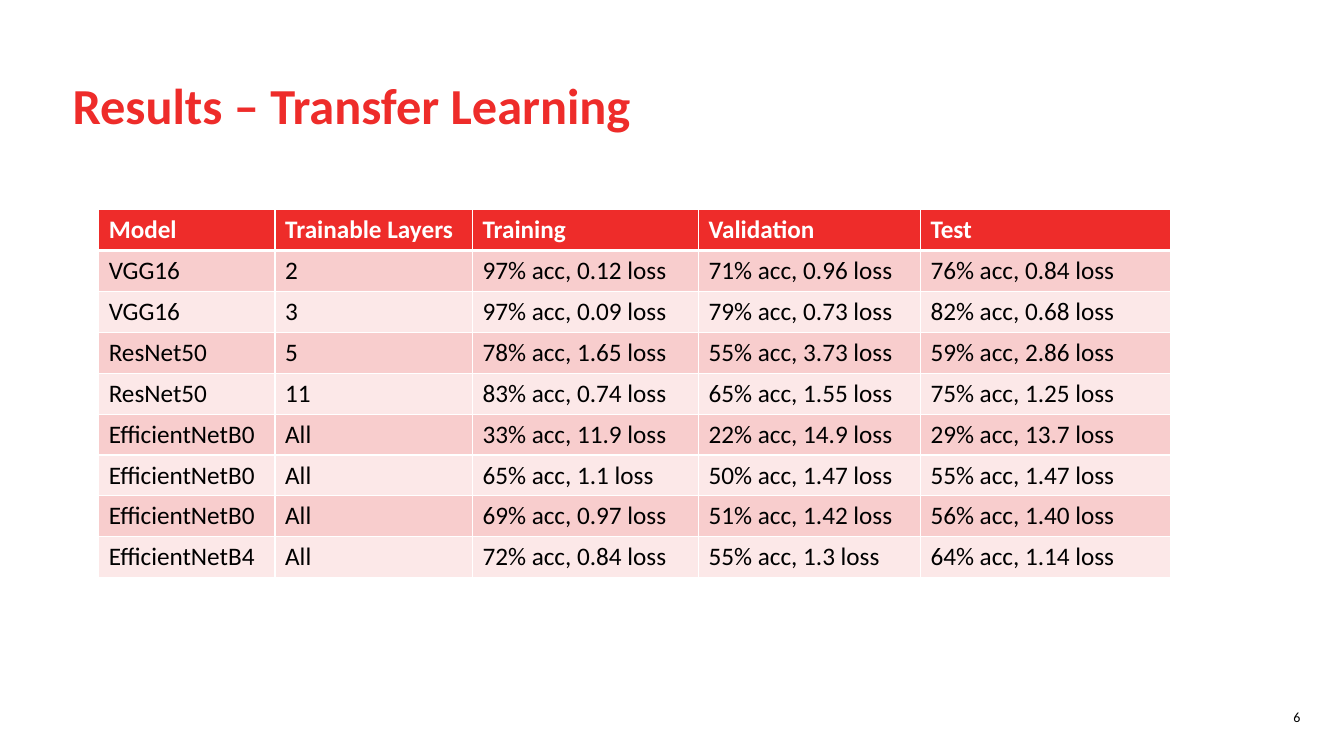
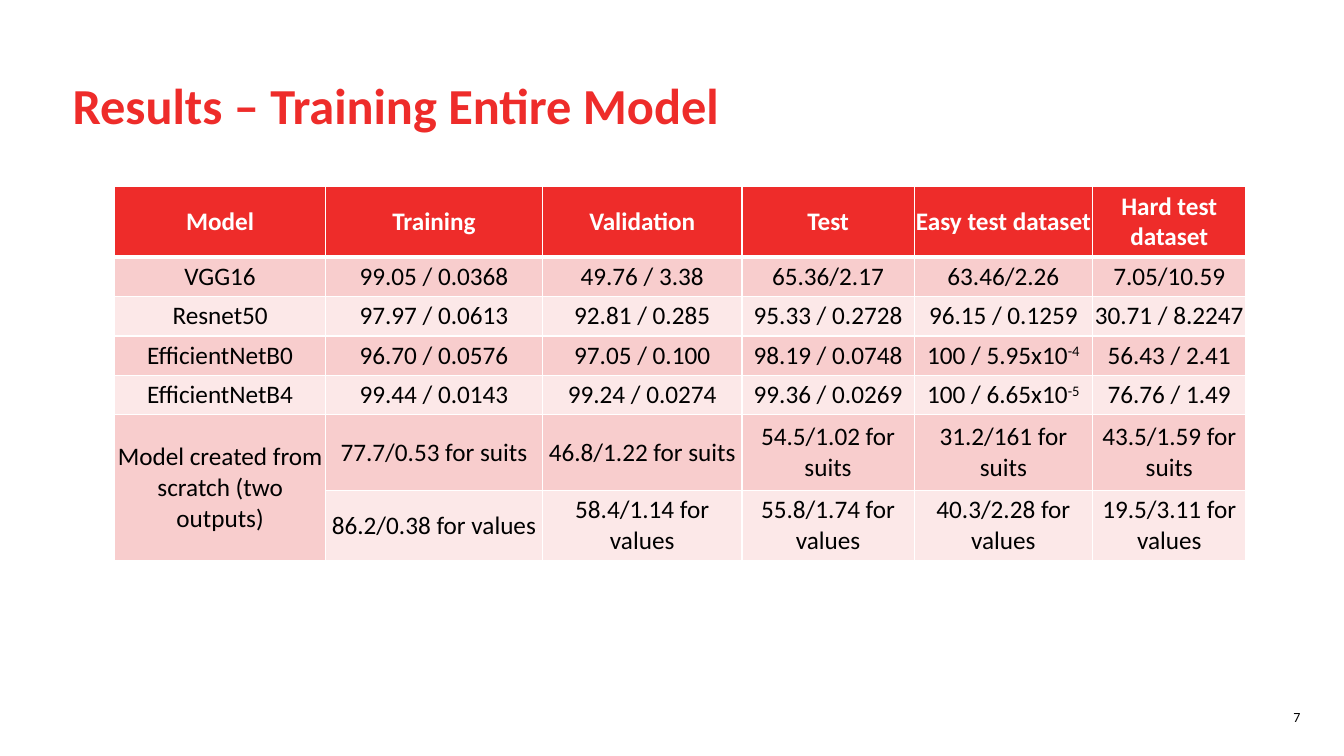
from lxml.etree import SubElement
from pptx import Presentation
from pptx.dml.color import RGBColor
from pptx.enum.text import MSO_ANCHOR, PP_ALIGN
from pptx.oxml.ns import qn
from pptx.util import Pt

FONT = "Calibri"
RED, WHITE, BLACK = "EE2C2A", "FFFFFF", "000000"
BANDS = ["F8CDCD", "FCE8E8"]

SLIDES = [
    {
        "title": "Results – Transfer Learning",
        "number": "6",
        "origin": (70.5, 149.8),
        "columns": [126, 141, 161.5, 158.5, 178.5],
        "heights": [29.2] * 9,
        "centred": False,
        "rows": [
            ["Model", "Trainable Layers", "Training", "Validation", "Test"],
            ["VGG16", "2", "97% acc, 0.12 loss", "71% acc, 0.96 loss", "76% acc, 0.84 loss"],
            ["VGG16", "3", "97% acc, 0.09 loss", "79% acc, 0.73 loss", "82% acc, 0.68 loss"],
            ["ResNet50", "5", "78% acc, 1.65 loss", "55% acc, 3.73 loss", "59% acc, 2.86 loss"],
            ["ResNet50", "11", "83% acc, 0.74 loss", "65% acc, 1.55 loss", "75% acc, 1.25 loss"],
            ["EfficientNetB0", "All", "33% acc, 11.9 loss", "22% acc, 14.9 loss", "29% acc, 13.7 loss"],
            ["EfficientNetB0", "All", "65% acc, 1.1 loss", "50% acc, 1.47 loss", "55% acc, 1.47 loss"],
            ["EfficientNetB0", "All", "69% acc, 0.97 loss", "51% acc, 1.42 loss", "56% acc, 1.40 loss"],
            ["EfficientNetB4", "All", "72% acc, 0.84 loss", "55% acc, 1.3 loss", "64% acc, 1.14 loss"],
        ],
    },
    {
        "title": "Results – Training Entire Model",
        "number": "7",
        "origin": (82, 133.2),
        "columns": [150.5, 155, 142.5, 123, 127.5, 109.5],
        "heights": [50.4] + [28.2] * 4 + [54, 50.4],
        "centred": True,
        "merge": ((5, 0), (6, 0)),
        # A caret starts a superscript.
        "rows": [
            ["Model", "Training", "Validation", "Test", "Easy test dataset", "Hard test dataset"],
            ["VGG16", "99.05 / 0.0368", "49.76 / 3.38", "65.36/2.17", "63.46/2.26", "7.05/10.59"],
            ["Resnet50", "97.97 / 0.0613", "92.81 / 0.285", "95.33 / 0.2728", "96.15 / 0.1259",
             "30.71 / 8.2247"],
            ["EfficientNetB0", "96.70 / 0.0576", "97.05 / 0.100", "98.19 / 0.0748",
             "100 / 5.95x10^-4", "56.43 / 2.41"],
            ["EfficientNetB4", "99.44 / 0.0143", "99.24 / 0.0274", "99.36 / 0.0269",
             "100 / 6.65x10^-5", "76.76 / 1.49"],
            ["Model created from scratch (two outputs)", "77.7/0.53 for suits", "46.8/1.22 for suits",
             "54.5/1.02 for suits", "31.2/161 for suits", "43.5/1.59 for suits"],
            ["", "86.2/0.38 for values", "58.4/1.14 for values", "55.8/1.74 for values",
             "40.3/2.28 for values", "19.5/3.11 for values"],
        ],
    },
]


def format_font(font, size, colour, bold=False):
    font.name = FONT
    font.size = Pt(size)
    font.bold = bold
    font.color.rgb = RGBColor.from_string(colour)


def add_borders(cell, top, bottom):
    """Draw white cell borders; call before the fill, which must follow them in the XML."""
    properties = cell._tc.get_or_add_tcPr()
    for side, width in (("L", 1), ("R", 1), ("T", top), ("B", bottom)):
        line = SubElement(properties, qn(f"a:ln{side}"), w=str(Pt(width)))
        fill = SubElement(line, qn("a:solidFill"))
        SubElement(fill, qn("a:srgbClr"), val=WHITE)


deck = Presentation()
deck.slide_width, deck.slide_height = Pt(960), Pt(540)

for content in SLIDES:
    page = deck.slides.add_slide(deck.slide_layouts[5])

    title = page.shapes.title
    title.left, title.top, title.width, title.height = Pt(44.6), Pt(36.7), Pt(765.4), Pt(81.4)
    title.text_frame.text = content["title"]
    title.text_frame.vertical_anchor = MSO_ANCHOR.MIDDLE
    para = title.text_frame.paragraphs[0]
    para.alignment = PP_ALIGN.LEFT
    para.line_spacing = Pt(38)
    format_font(para.runs[0].font, 36, RED, bold=True)

    rows, columns, heights = content["rows"], content["columns"], content["heights"]
    left, top = content["origin"]
    table = page.shapes.add_table(
        len(rows), len(columns), Pt(left), Pt(top), Pt(sum(columns)), Pt(sum(heights))
    ).table
    for column, width in zip(table.columns, columns):
        column.width = Pt(width)
    for row, height in zip(table.rows, heights):
        row.height = Pt(height)

    for row_index, row in enumerate(rows):
        header = row_index == 0
        for column_index, text in enumerate(row):
            cell = table.cell(row_index, column_index)
            add_borders(cell, top=3 if row_index == 1 else 1, bottom=3 if header else 1)
            cell.fill.solid()
            cell.fill.fore_color.rgb = RGBColor.from_string(RED if header else BANDS[(row_index - 1) % 2])
            para = cell.text_frame.paragraphs[0]
            if content["centred"]:
                cell.margin_left = cell.margin_right = cell.margin_top = cell.margin_bottom = 0
                cell.vertical_anchor = MSO_ANCHOR.MIDDLE
                para.alignment = PP_ALIGN.CENTER
            if not text:
                continue
            for part_index, part in enumerate(text.split("^")):
                span = para.add_run()
                span.text = part
                format_font(span.font, 18, WHITE if header else BLACK, bold=header)
                if part_index:
                    span._r.get_or_add_rPr().set("baseline", "30000")

    if "merge" in content:
        first, last = content["merge"]
        table.cell(*first).merge(table.cell(*last))

    number = page.shapes.add_textbox(Pt(720), Pt(502.6), Pt(216), Pt(28.8))
    number.text_frame.word_wrap = True
    number.text_frame.text = content["number"]
    para = number.text_frame.paragraphs[0]
    para.alignment = PP_ALIGN.RIGHT
    format_font(para.runs[0].font, 10, BLACK)

deck.save("out.pptx")
